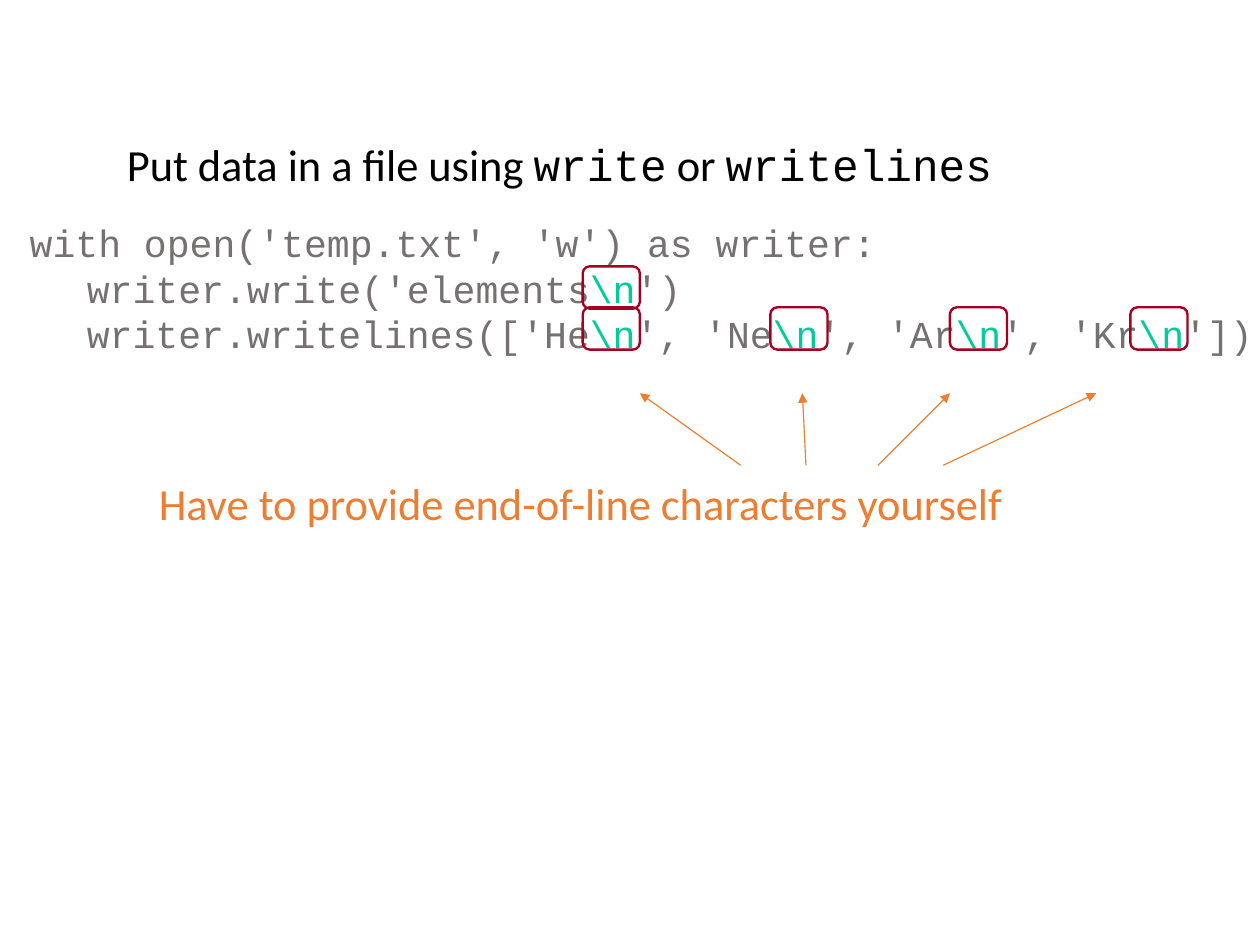
from pptx import Presentation
from pptx.dml.color import RGBColor
from pptx.enum.shapes import MSO_CONNECTOR, MSO_SHAPE
from pptx.oxml.ns import qn
from pptx.util import Cm, Pt
from lxml.etree import SubElement

BLACK = RGBColor(0x00, 0x00, 0x00)
GRAY = RGBColor(0x76, 0x71, 0x71)
GREEN = RGBColor(0x00, 0xCC, 0x99)
ORANGE = RGBColor(0xED, 0x7D, 0x31)
RED = RGBColor(0xA5, 0x00, 0x21)

BODY, MONO = "Calibri", "Courier New"
EOL = r"\n"
CODE = [
    (0, r"with open('temp.txt', 'w') as writer:"),
    (1, r"writer.write('elements\n')"),
    (1, r"writer.writelines(['He\n', 'Ne\n', 'Ar\n', 'Kr\n'])"),
]

# Outlines around the end-of-line characters, relative to the code box
MARK_W, MARK_H = 1.27, 0.94
MARKS = [(12.54, 1.17), (12.54, 2.08), (16.71, 2.08), (20.7, 2.08), (24.71, 2.08)]

# Arrow start and end, relative to the left of the note box
ARROWS = [(13.18, 10.94), (14.63, 14.55), (16.23, 17.83), (17.68, 21.08)]
ARROW_START, ARROW_END = 0.48, -1.12


def add_text_box(s, box):
    tf = s.shapes.add_textbox(*(Cm(v) for v in box)).text_frame
    tf.word_wrap = False
    return tf


def add_run(p, text, color, **formats):
    r = p.add_run()
    r.text = text
    r.font.color.rgb = color
    for name, value in formats.items():
        setattr(r.font, name, value)


def add_heading(s, box, parts, color):
    p = add_text_box(s, box).paragraphs[0]
    p.line_spacing = 1.5
    for text, font in parts:
        add_run(p, text, color, name=font, size=Pt(28))


def add_code(s, box):
    tf = add_text_box(s, box)
    tf.margin_right = 0  # room for the longest line
    for i, (level, line) in enumerate(CODE):
        p = tf.paragraphs[0] if i == 0 else tf.add_paragraph()
        p.level = level
        pPr = p._p.get_or_add_pPr()
        pPr.set("marL", str(Cm(1.27 * level)))
        pPr.set("indent", "0")
        for j, text in enumerate(line.split(EOL)):
            if j:
                add_run(p, EOL, GREEN, name=MONO, size=Pt(24))
            add_run(p, text, GRAY, name=MONO, size=Pt(24))

    # Red outlines
    left, top = box[:2]
    for x, y in MARKS:
        sp = s.shapes.add_shape(MSO_SHAPE.ROUNDED_RECTANGLE, Cm(left + x),
                                Cm(top + y), Cm(MARK_W), Cm(MARK_H))
        sp.shadow.inherit = False
        sp.fill.background()
        sp.line.color.rgb = RED
        sp.line.width = Pt(1.5)


def add_note(s, box):
    add_heading(s, box, [("Have to provide end-of-line characters yourself", BODY)], ORANGE)

    # Arrows up to the code
    left, top = box[:2]
    for start, end in ARROWS:
        arrow = s.shapes.add_connector(
            MSO_CONNECTOR.STRAIGHT, Cm(left + start), Cm(top + ARROW_START),
            Cm(left + end), Cm(top + ARROW_END))
        arrow.line.color.rgb = ORANGE
        arrow.line.width = Pt(0.75)
        SubElement(arrow.line._get_or_add_ln(), qn("a:tailEnd"), type="triangle")
        SubElement(arrow._element.spPr, qn("a:effectLst"))


def main():
    prs = Presentation()
    prs.slide_width, prs.slide_height = Cm(28), Cm(21)
    s = prs.slides.add_slide(prs.slide_layouts[6])
    add_code(s, (0.41, 4.75, 27.59, 4.65))
    add_heading(s, (2.57, 2.32, 19.94, 1.9),
                [("Put data in a file using ", BODY), ("write", MONO),
                 (" or ", BODY), ("writelines", MONO)], BLACK)
    add_note(s, (3.28, 9.86, 19.48, 1.85))
    prs.save("out.pptx")


if __name__ == "__main__":
    main()
